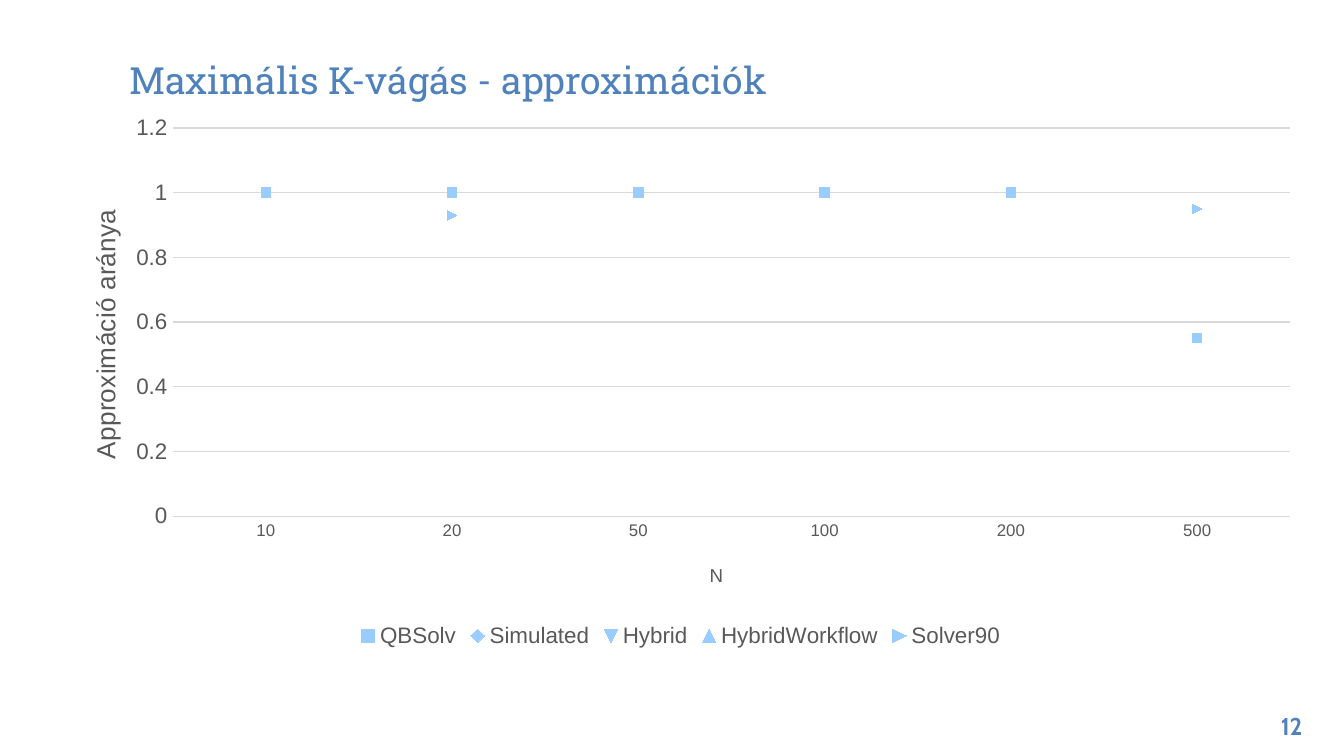
"""Builds a slide with a marker chart of maximum K-cut approximation ratios."""
from lxml.etree import SubElement
from pptx import Presentation
from pptx.chart.data import CategoryChartData
from pptx.dml.color import RGBColor
from pptx.enum.chart import XL_CHART_TYPE as ChartType, XL_LEGEND_POSITION as LegendPosition
from pptx.enum.chart import XL_TICK_MARK as TickMark
from pptx.enum.text import MSO_ANCHOR as Anchor, PP_ALIGN as Align
from pptx.oxml.ns import qn
from pptx.util import Pt

HEADING = "Maximális K-vágás - approximációk"
PAGE = "12"
SIZES = ["10", "20", "50", "100", "200", "500"]
SHARED_RATIOS = [1, 1, 1, 1, 1, 0.55]
RATIOS = {name: SHARED_RATIOS for name in ("QBSolv", "Simulated", "Hybrid", "HybridWorkflow")}
RATIOS["Solver90"] = [1, 0.93, 1, 1, 1, 0.95]
AXIS_TITLES = {"category": "N", "value": "Approximáció aránya"}

SLIDE_SIZE = (720, 405)
BOXES = {
    "heading": (61.9, 24.5, 596.2, 37.4),
    "page": (661.7, 373.7, 43.2, 31),
    "chart": (24.5, 56.9, 680.4, 293),
}
PLOT = {"layoutTarget": "inner", "xMode": "edge", "yMode": "edge",
        "x": 0.1, "y": 0.04, "w": 0.88, "h": 0.71}
TITLE_PLACES = {
    "category": {"xMode": "edge", "yMode": "edge", "x": 0.52, "y": 0.83},
    "value": {"xMode": "edge", "yMode": "edge", "x": 0.03, "y": 0.18},
}

THEME = {
    "accent": "4F81BD", "text": "595959", "grid": "D9D9D9", "marker": "99CCFF",
    "heading": ("Roboto Slab", 20, False, "accent"),
    "page": ("Cabin", 13, True, "accent"),
    "chart": ("Arial", 10, False, "text"),
    "category": ("Arial", 9, False, "text"),
    "category title": ("Arial", 10, False, "text"),
    "value": ("Arial", 12, False, "text"),
    "value title": ("Arial", 14, False, "text"),
    "legend": ("Arial", 12, False, "text"),
}


def color(role):
    return RGBColor.from_string(THEME[role])


def set_all(target, values):
    for attribute, value in values.items():
        setattr(target, attribute, value)


def style_font(font, role):
    family, size, bold, ink = THEME[role]
    set_all(font, {"name": family, "size": Pt(size), "bold": bold})
    font.color.rgb = color(ink)


def style_line(line, role):
    line.color.rgb = color(role)
    line.width = Pt(0.75)


def box(part):
    return [Pt(length) for length in BOXES[part]]


def write(shape, text, role, align, anchor):
    set_all(shape, dict(zip(("left", "top", "width", "height"), box(role))))
    frame = shape.text_frame
    margins = dict.fromkeys(
        ("margin_left", "margin_top", "margin_right", "margin_bottom"), Pt(7.2))
    set_all(frame, {"word_wrap": True, "vertical_anchor": anchor, **margins})
    paragraph = frame.paragraphs[0]
    paragraph.alignment = align
    run = paragraph.add_run()
    run.text = text
    style_font(run.font, role)


def place(parent, layout_values, following):
    for old in parent.findall(qn("c:layout")):
        parent.remove(old)
    layout = SubElement(parent, qn("c:layout"))
    manual = SubElement(layout, qn("c:manualLayout"))
    for tag, value in layout_values.items():
        SubElement(manual, qn(f"c:{tag}")).set("val", str(value))
    parent.find(qn(following)).addprevious(layout)


def style_axis(axis, role):
    set_all(axis, {"major_tick_mark": TickMark.NONE, "minor_tick_mark": TickMark.NONE})
    style_font(axis.tick_labels.font, role)
    title = axis.axis_title
    paragraph = title.text_frame.paragraphs[0]
    run = paragraph.add_run()
    run.text = AXIS_TITLES[role]
    style_font(run.font, f"{role} title")
    place(title._element, TITLE_PLACES[role], "c:overlay")


def add_ratio_chart(slide):
    ratio_data = CategoryChartData()
    ratio_data.categories = SIZES
    for solver, ratios in RATIOS.items():
        ratio_data.add_series(solver, ratios)
    chart = slide.shapes.add_chart(ChartType.LINE_MARKERS, *box("chart"), ratio_data).chart
    set_all(chart, {"has_title": False, "has_legend": True})
    style_font(chart.font, "chart")
    set_all(chart.legend, {"position": LegendPosition.BOTTOM, "include_in_layout": False})
    style_font(chart.legend.font, "legend")

    plot = chart.plots[0]
    plot.vary_by_categories = False
    for solver in plot.series:
        solver.smooth = False
        solver.format.line.fill.background()
        solver.marker.format.fill.solid()
        solver.marker.format.fill.fore_color.rgb = color("marker")
        solver.marker.format.line.fill.background()

    style_axis(chart.category_axis, "category")
    style_line(chart.category_axis.format.line, "grid")
    ratio_axis = chart.value_axis
    style_axis(ratio_axis, "value")
    set_all(ratio_axis, {"minimum_scale": 0, "maximum_scale": 1.2, "major_unit": 0.2,
                         "has_major_gridlines": True})
    ratio_axis.format.line.fill.background()
    style_line(ratio_axis.major_gridlines.format.line, "grid")
    place(chart._chartSpace.chart.plotArea, PLOT, "c:lineChart")


def main():
    deck = Presentation()
    deck.slide_width, deck.slide_height = (Pt(length) for length in SLIDE_SIZE)
    slide = deck.slides.add_slide(deck.slide_layouts[5])
    write(slide.shapes.title, HEADING, "heading", Align.LEFT, Anchor.BOTTOM)
    write(slide.shapes.add_textbox(*box("page")), PAGE, "page", Align.RIGHT, Anchor.TOP)
    add_ratio_chart(slide)
    deck.save("out.pptx")


if __name__ == "__main__":
    main()
